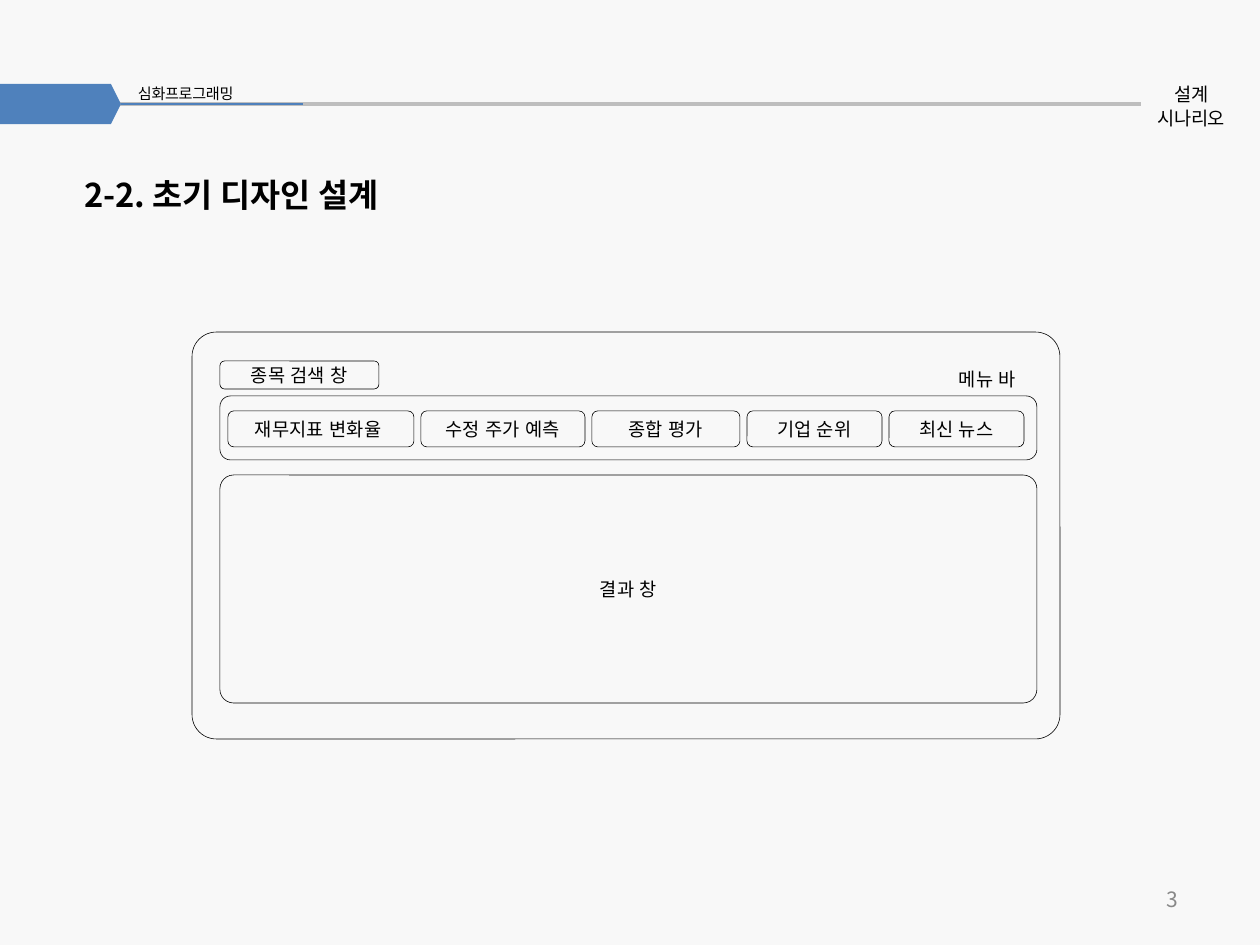
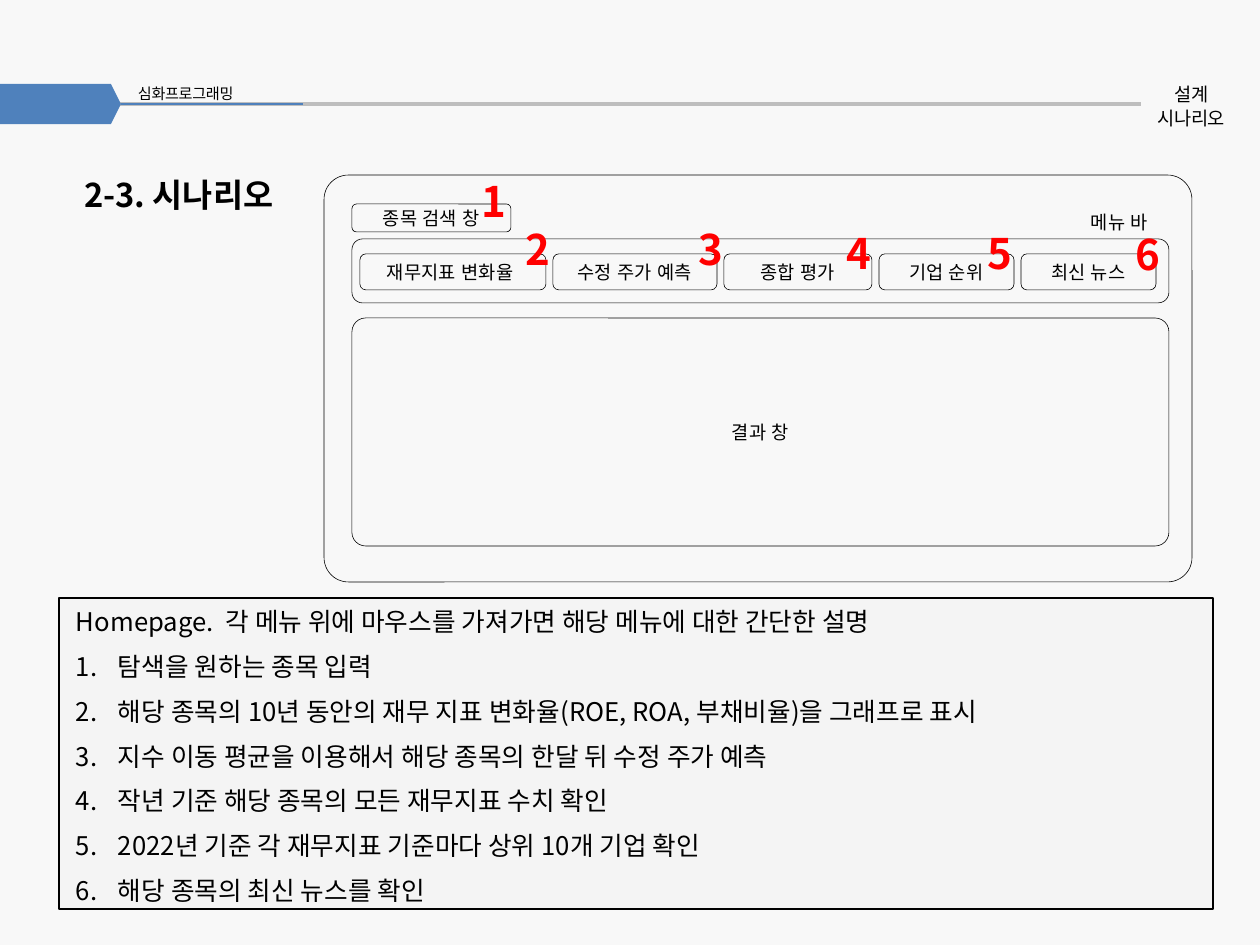
from pptx import Presentation
from pptx.dml.color import RGBColor
from pptx.enum.shapes import MSO_CONNECTOR as Conn, MSO_SHAPE as Kind
from pptx.enum.text import MSO_ANCHOR as Anchor, MSO_AUTO_SIZE as Fit, PP_ALIGN as Align
from pptx.oxml.ns import qn
from pptx.oxml.xmlchemy import OxmlElement as Tag
from pptx.util import Emu, Pt

# Shared style
PAPER = RGBColor(0xF8, 0xF8, 0xF8)
PANEL = RGBColor(0xF4, 0xF4, 0xF4)
BLACK = RGBColor(0, 0, 0)
BLUE = RGBColor(0x4F, 0x81, 0xBC)
GREY = RGBColor(0xBE, 0xBE, 0xBE)
DIM = RGBColor(0x88, 0x88, 0x88)
RED = RGBColor(0xFF, 0, 0)
SANS = "Noto Sans CJK KR"
ARIAL = "Arial"
WIDE, HIGH = 1260, 945


def px(num):
    return Emu(round(num * 914400 / 168))


def put(frame, text, size=8, color=BLACK, font=SANS, bold=False, align=Align.LEFT,
        anchor=Anchor.TOP, before=0, space=0, top=2, wrap=True):
    """Fill a text frame, one paragraph per line of text."""
    frame.auto_size = Fit.NONE
    frame.word_wrap = wrap
    frame.vertical_anchor = anchor
    frame.margin_left = frame.margin_right = frame.margin_bottom = 0
    frame.margin_top = px(top)
    for i, line in enumerate(text.split("\n")):
        para = frame.add_paragraph() if i else frame.paragraphs[0]
        para.alignment = align
        para.space_before = Pt(before)
        run = para.add_run()
        run.text = line
        run.font.size = Pt(size)
        run.font.bold = bold
        run.font.name = font
        run.font.color.rgb = color
        props = run.font._element
        east = Tag("a:ea")
        east.set("typeface", font)
        props.find(qn("a:latin")).addnext(east)
        if space:
            props.set("spc", str(space))


class Deck:
    def __init__(self):
        self.prs = Presentation()
        self.prs.slide_width, self.prs.slide_height = px(WIDE), px(HIGH)
        fill = self.prs.slide_master.background.fill
        fill.solid()
        fill.fore_color.rgb = PAPER
        self.slide = None

    def page(self, title, width):
        """Start a slide with its title and header band."""
        self.slide = self.prs.slides.add_slide(self.prs.slide_layouts[5])
        head = self.slide.shapes.title
        head.left, head.top, head.width, head.height = map(px, (84, 173, width, 44))
        put(head.text_frame, title, size=14, bold=True, before=1.1, wrap=False)
        self.line(111, 1141, 104, GREY, 1.39)
        tab = self.shape(Kind.PENTAGON, 0, 84, 121, 40, fill=BLUE, round=0.25)
        self.line(121, 303, 104, BLUE, 1).begin_connect(tab, 3)
        self.text("설계\n시나리오", 1152, 81, 79, 50, align=Align.CENTER,
                  before=0.6, space=-20, wrap=False)
        self.text("심화프로그래밍", 138, 81, 114, 24, size=6.5, before=1.2,
                  space=-10, top=3, wrap=False)

    def text(self, text, x, y, w, h, **style):
        box = self.slide.shapes.add_textbox(*map(px, (x, y, w, h)))
        put(box.text_frame, text, **style)

    def line(self, start, end, y, color, weight):
        line = self.slide.shapes.add_connector(Conn.STRAIGHT, *map(px, (start, y, end, y)))
        line.line.color.rgb = color
        line.line.width = Pt(weight)
        line._element.spPr.append(Tag("a:effectLst"))
        return line

    def shape(self, kind, x, y, w, h, fill=None, edge=0, round=None):
        shape = self.slide.shapes.add_shape(kind, *map(px, (x, y, w, h)))
        shape.shadow.inherit = False
        if fill is None:
            shape.fill.background()
        else:
            shape.fill.solid()
            shape.fill.fore_color.rgb = fill
        if edge:
            shape.line.color.rgb = BLACK
            shape.line.width = Pt(edge)
        else:
            shape.line.fill.background()
        if round is not None:
            shape.adjustments[0] = round
        return shape

    def box(self, text, x, y, w, h, edge=0.25, round=None):
        """Rounded wireframe box with an optional centred label."""
        box = self.shape(Kind.ROUNDED_RECTANGLE, x, y, w, h, edge=edge, round=round)
        if text:
            put(box.text_frame, text, font=ARIAL, align=Align.CENTER,
                anchor=Anchor.MIDDLE, top=0)

    def wire(self, x, y):
        """Draw the home page wireframe with its corner at x, y."""
        self.box("", x, y, 868, 407, round=0.06)
        self.box("종목 검색 창", x + 28, y + 29, 159, 28)
        self.box("메뉴 바", x + 734, y + 33, 123, 28, edge=0)
        self.box("", x + 28, y + 64, 817, 64)
        self.box("결과 창", x + 28, y + 143, 817, 228, round=0.06)
        left = x + 36
        for name, width in MENU:
            self.box(name, left, y + 79, width, 36)
            left += width + 7

    def steps(self, intro, items, x, y, w, h):
        """Framed panel: an intro line, then a numbered list."""
        panel = self.shape(Kind.RECTANGLE, x, y, w, h, fill=PANEL, edge=0.75)
        put(panel.text_frame, "\n".join([intro, *items]), size=11, before=6, top=8)
        first, *rest = panel.text_frame.paragraphs
        first._p.get_or_add_pPr().set("marL", str(px(17)))
        for para in rest:
            props = para._p.get_or_add_pPr()
            props.set("marL", str(px(59)))
            props.set("indent", str(px(-42)))
            mark = Tag("a:buAutoNum")
            mark.set("type", "arabicPeriod")
            props.append(mark)


# Content
MENU = [("재무지표 변화율 ", 186), ("수정 주가 예측", 164), ("종합 평가", 148),
        ("기업 순위", 135), ("최신 뉴스", 135)]
STEPS = [
    "탐색을 원하는 종목 입력",
    "해당 종목의 10년 동안의 재무 지표 변화율(ROE, ROA, 부채비율)을 그래프로 표시",
    "지수 이동 평균을 이용해서 해당 종목의 한달 뒤 수정 주가 예측",
    "작년 기준 해당 종목의 모든 재무지표 수치 확인",
    "2022년 기준 각 재무지표 기준마다 상위 10개 기업 확인",
    "해당 종목의 최신 뉴스를 확인",
]
BADGES = [(482, 173), (526, 222), (699, 222), (847, 226), (988, 226), (1136, 227)]


def main():
    deck = Deck()

    # First design
    deck.page("2-2. 초기 디자인 설계", 405)
    deck.wire(192, 332)
    deck.text("3", 1166, 885, 17, 30, size=9, color=DIM, before=1, wrap=False)

    # Scenario
    deck.page("2-3. 시나리오", 207)
    deck.wire(324, 175)
    for num, (x, y) in enumerate(BADGES, 1):
        deck.text(str(num), x, y, 29, 56, size=18, color=RED, bold=True,
                  before=1, wrap=False)
    deck.steps("Homepage.  각 메뉴 위에 마우스를 가져가면 해당 메뉴에 대한 간단한 설명",
               STEPS, 59, 598, 1154, 311)

    deck.prs.save("out.pptx")


if __name__ == "__main__":
    main()
